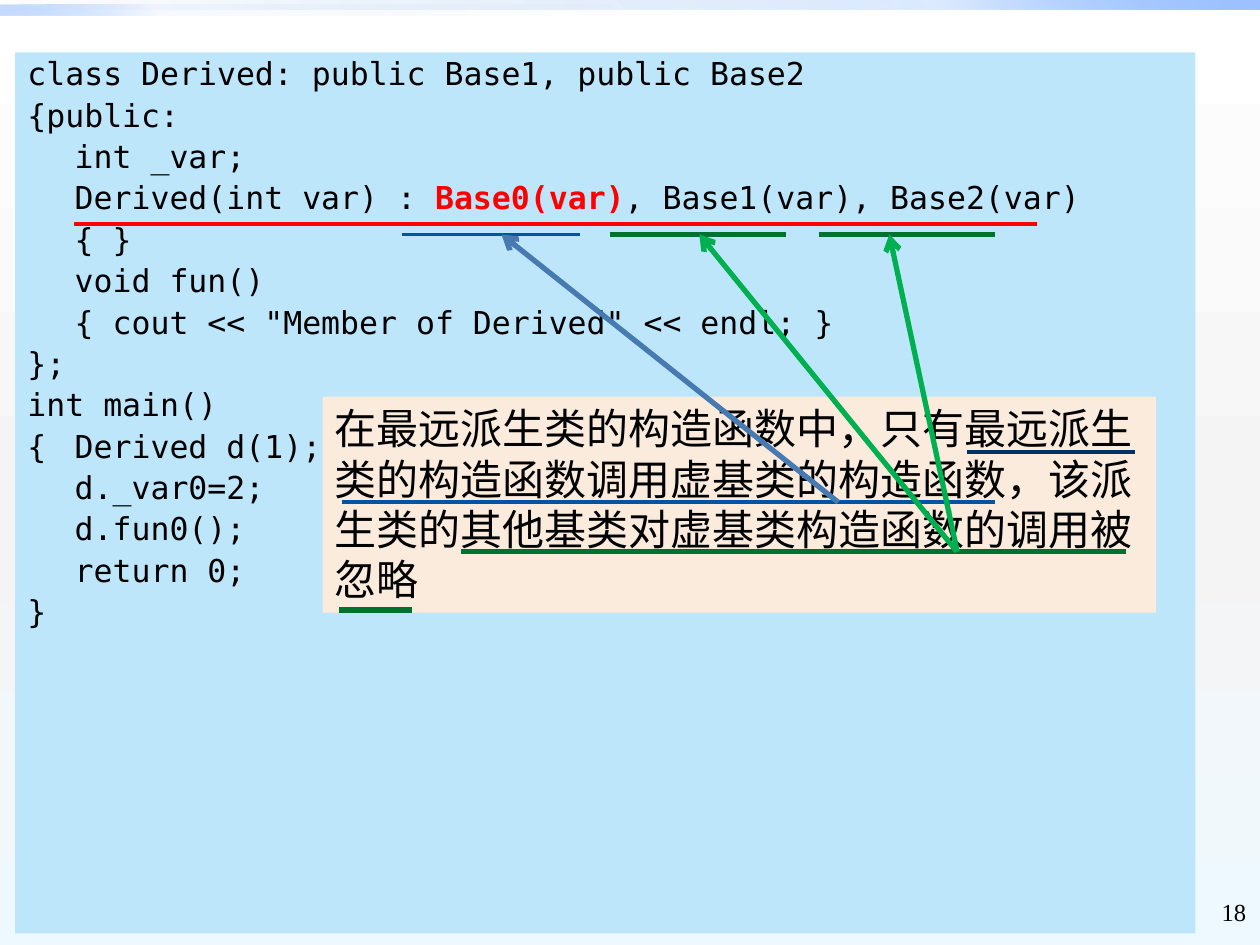
"""Build the slide on virtual base class construction in a most derived class."""
from dataclasses import dataclass

import pptx
import pptx.dml.color
import pptx.enum.shapes
import pptx.enum.text
import pptx.oxml.ns
import pptx.util
from lxml import etree

Pt = pptx.util.Pt
qn = pptx.oxml.ns.qn


@dataclass(frozen=True)
class Theme:
    code_font: str = "DejaVu Sans Mono"
    note_font: str = "Cambria"
    number_font: str = "Times New Roman"
    code_size: int = 18
    note_size: int = 24
    number_size: int = 14
    text: str = "000000"
    accent: str = "FF0000"
    code_fill: str = "BEE6FB"
    note_fill: str = "FAEBDD"
    blue: str = "0054A8"
    navy: str = "003264"
    steel: str = "477AB1"
    dark_green: str = "007033"
    green: str = "00B050"
    thin: int = 2
    thick: int = 3
    backdrop: tuple = ((0, "FFFFFF", 100), (55, "F4F4F4", 100), (100, "EEF9FF", 100))
    top_bar: tuple = ((0, "0058B7", 0), (75, "4F95FF", 20), (100, "9EC2FF", 100))
    left_bar: tuple = ((0, "0058B7", 0), (75, "4F95FF", 5), (100, "9EC2FF", 60))


T = Theme()

CODE = [
    [("class Derived: public Base1, public Base2", False)],
    [("{public:", False)],
    [("\tint _var;", False)],
    [("\tDerived(int var) : ", False), ("Base0(var)", True), (", Base1(var), Base2(var)", False)],
    [("\t{ }", False)],
    [("\tvoid fun()", False)],
    [("\t{ cout << \"Member of Derived\" << endl; }", False)],
    [("};", False)],
    [("int main()", False)],
    [("{\tDerived d(1);", False)],
    [("\td._var0=2;", False)],
    [("\td.fun0();", False)],
    [("\treturn 0;", False)],
    [("}", False)],
]
NOTE = "在最远派生类的构造函数中，只有最远派生类的构造函数调用虚基类的构造函数，该派生类的其他基类对虚基类构造函数的调用被忽略"


def rgb(color):
    return pptx.dml.color.RGBColor.from_string(color)


def set_gradient(fill, element, stops, angle):
    fill.gradient()
    grad = next(element.iter(qn("a:gradFill")))
    for child in list(grad):
        grad.remove(child)
    stop_list = etree.SubElement(grad, qn("a:gsLst"))
    for pos, color, opacity in stops:
        gs = etree.SubElement(stop_list, qn("a:gs"), pos=str(pos * 1000))
        clr = etree.SubElement(gs, qn("a:srgbClr"), val=color)
        if opacity < 100:
            etree.SubElement(clr, qn("a:alpha"), val=str(opacity * 1000))
    etree.SubElement(grad, qn("a:lin"), ang=str(angle * 60000), scaled="0")


def add_rect(s, x, y, w, h):
    sp = s.shapes.add_shape(pptx.enum.shapes.MSO_SHAPE.RECTANGLE, Pt(x), Pt(y), Pt(w), Pt(h))
    sp.shadow.inherit = False
    sp.line.fill.background()
    return sp


def add_bar(s, x, y, w, h, stops, angle):
    sp = add_rect(s, x, y, w, h)
    set_gradient(sp.fill, sp.element, stops, angle)


def add_panel(s, x, y, w, h, color):
    sp = add_rect(s, x, y, w, h)
    sp.fill.solid()
    sp.fill.fore_color.rgb = rgb(color)
    tf = sp.text_frame
    tf.word_wrap = True
    tf.vertical_anchor = pptx.enum.text.MSO_ANCHOR.TOP
    return tf


def add_run(p, text, font, size, color=T.text, bold=False):
    r = p.add_run()
    r.text = text
    r.font.name = font
    r.font.size = Pt(size)
    r.font.bold = bold
    r.font.color.rgb = rgb(color)


def add_code(s):
    tf = add_panel(s, 8.6, 30, 674.5, 503.5, T.code_fill)
    for i, line in enumerate(CODE):
        p = tf.add_paragraph() if i else tf.paragraphs[0]
        p.alignment = pptx.enum.text.PP_ALIGN.LEFT
        p.line_spacing = 0.9
        p.space_before = Pt(4.2 if i else 0)
        pPr = p._p.get_or_add_pPr()
        pPr.set("marL", str(Pt(27)))
        pPr.set("indent", str(-Pt(27)))
        for text, marked in line:
            add_run(p, text, T.code_font, T.code_size, T.accent if marked else T.text, marked)


def add_note(s):
    p = add_panel(s, 184.3, 226.6, 476.3, 123.6, T.note_fill).paragraphs[0]
    p.alignment = pptx.enum.text.PP_ALIGN.LEFT
    add_run(p, NOTE, T.note_font, T.note_size)


def add_number(s, number):
    tf = s.shapes.add_textbox(Pt(671), Pt(509), Pt(48.2), Pt(24)).text_frame
    tf.word_wrap = True
    p = tf.paragraphs[0]
    p.alignment = pptx.enum.text.PP_ALIGN.RIGHT
    add_run(p, number, T.number_font, T.number_size)


def add_line(s, x1, y1, x2, y2, color, width, arrow=False):
    c = s.shapes.add_connector(
        pptx.enum.shapes.MSO_CONNECTOR.STRAIGHT, Pt(x1), Pt(y1), Pt(x2), Pt(y2))
    c.line.color.rgb = rgb(color)
    c.line.width = Pt(width)
    if arrow:
        etree.SubElement(c.line._get_or_add_ln(), qn("a:tailEnd"), type="arrow")
    etree.SubElement(c._element.spPr, qn("a:effectLst"))


def main():
    prs = pptx.Presentation()
    prs.slide_width, prs.slide_height = Pt(720), Pt(540)
    s = prs.slides.add_slide(prs.slide_layouts[6])
    set_gradient(s.background.fill, s.element, T.backdrop, 90)
    add_bar(s, 0, 0, 720, 5.7, T.top_bar, 315)
    add_bar(s, 0, 2.9, 360, 5.7, T.left_bar, 135)
    add_code(s)
    add_number(s, "18")
    add_line(s, 42.5, 128.1, 592.5, 128.1, T.accent, T.thin)
    add_note(s)

    call_y, virtual_y, ignored_y = 134, 287, 315.2
    for x1, x2, y, color, width in [
        (195.6, 568.3, virtual_y, T.blue, T.thin),
        (552.8, 648.5, 258.4, T.navy, T.thin),
        (229.8, 331.6, call_y, T.blue, T.thin),
        (263.5, 643.5, ignored_y, T.dark_green, T.thick),
        (194, 235.5, 348.6, T.dark_green, T.thick),
        (348.5, 449.2, call_y, T.dark_green, T.thick),
        (468, 568.3, call_y, T.dark_green, T.thick),
    ]:
        add_line(s, x1, y, x2, y, color, width)
    for x1, y1, x2, color in [
        (479, virtual_y, 286.6, T.steel),
        (546.8, ignored_y, 399.6, T.green),
        (547, ignored_y, 508.2, T.green),
    ]:
        add_line(s, x1, y1, x2, call_y, color, T.thick, arrow=True)
    prs.save("out.pptx")


if __name__ == "__main__":
    main()
